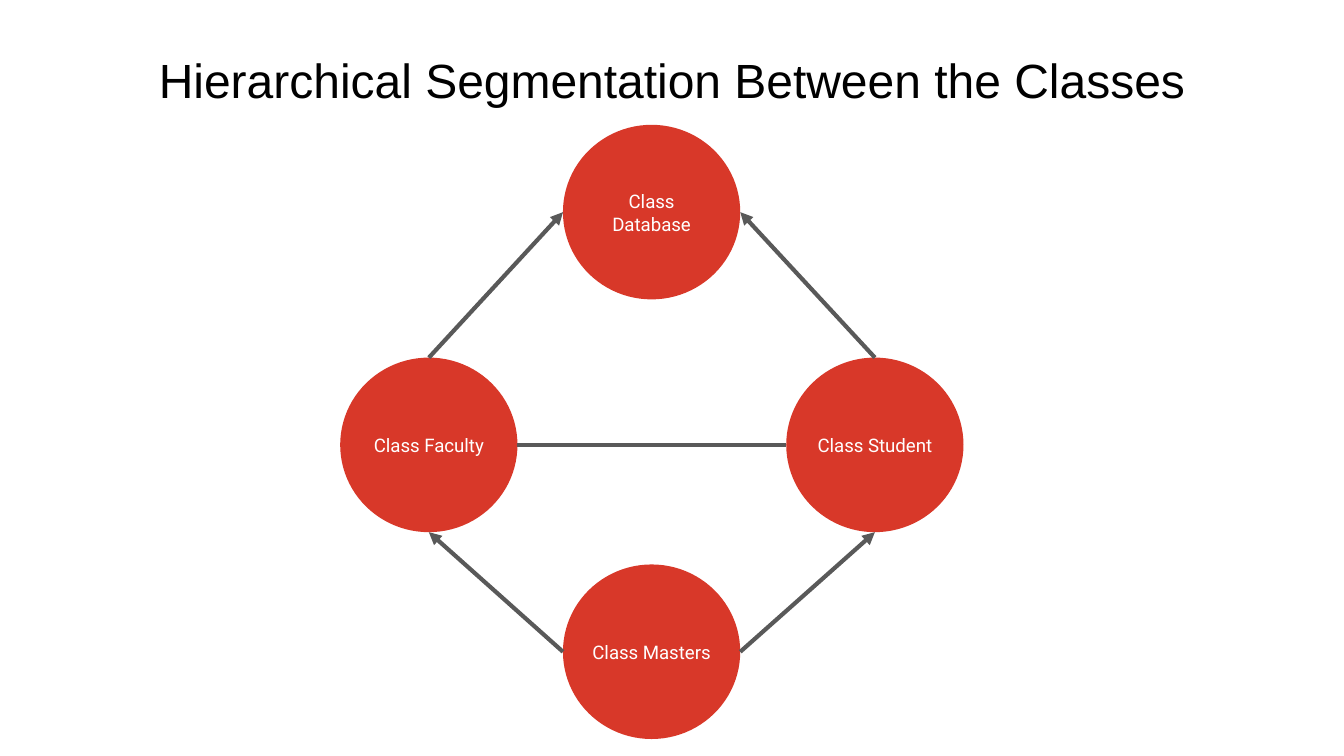
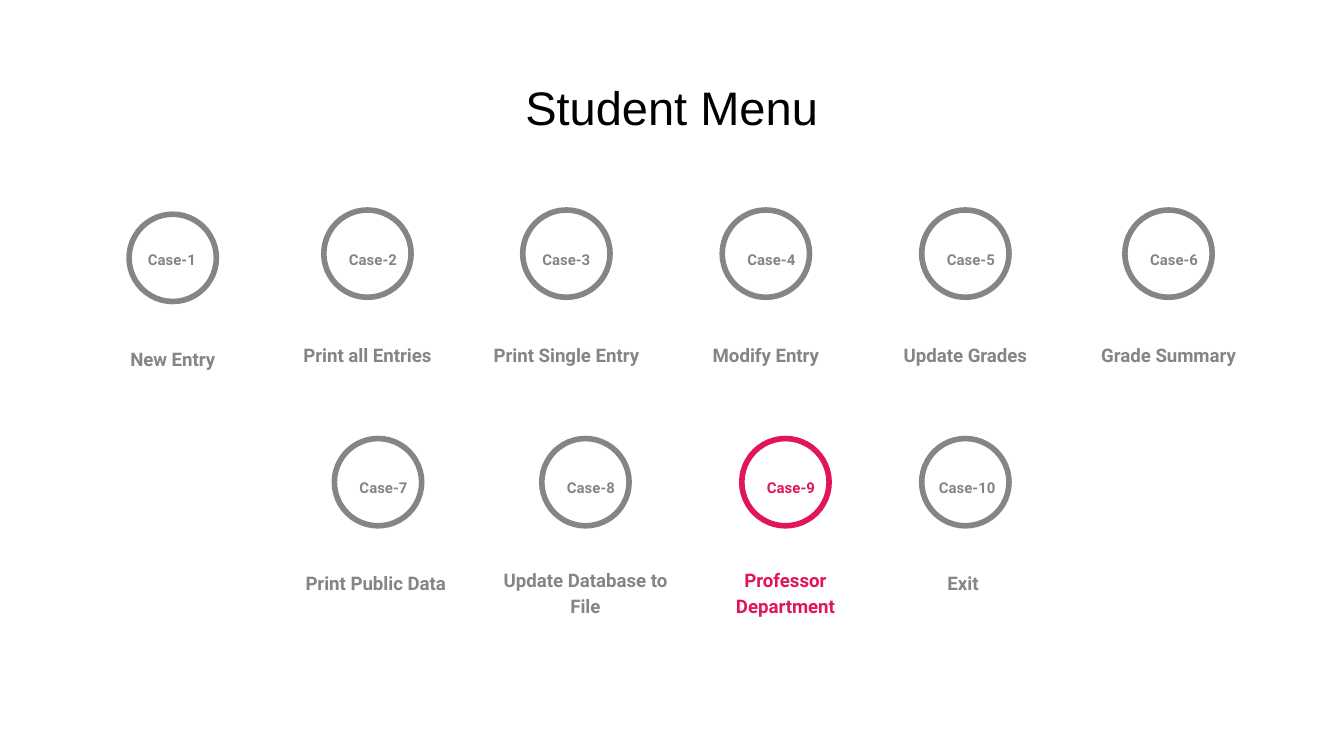
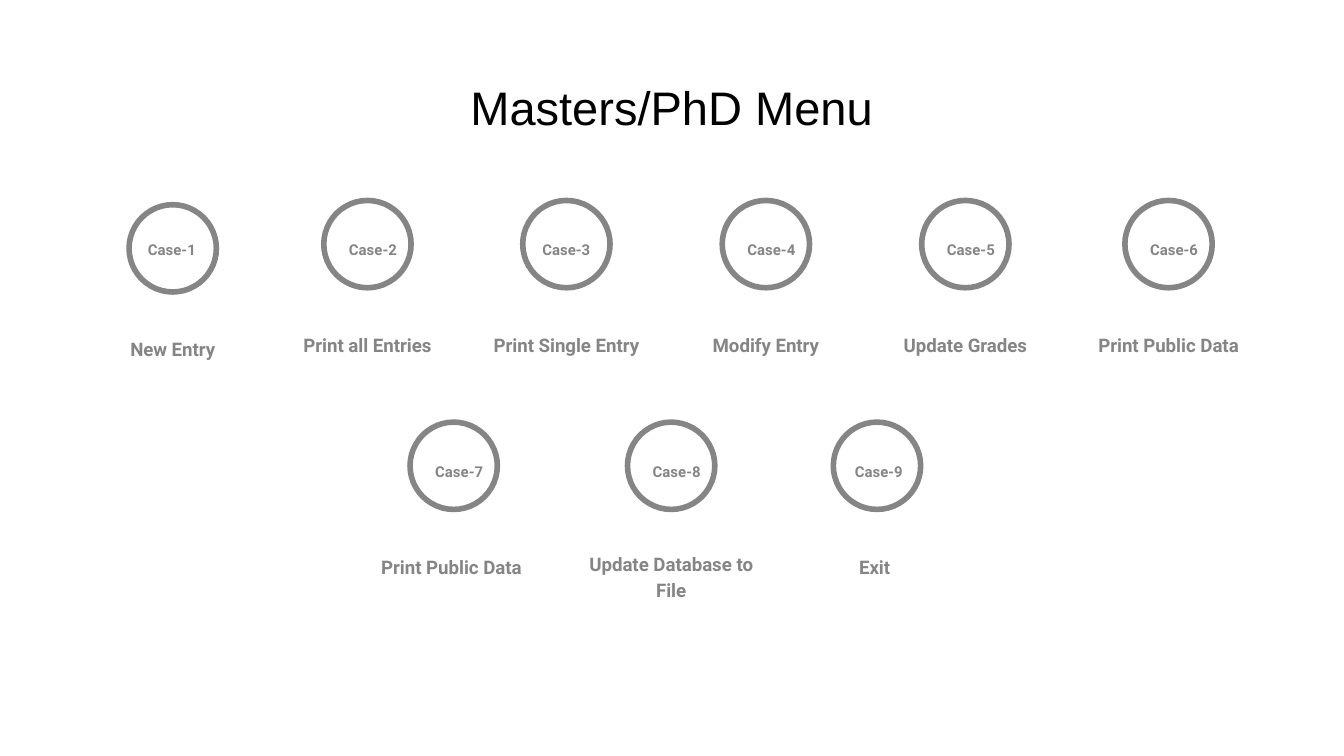
from dataclasses import dataclass

from lxml import etree
from pptx import Presentation
from pptx.dml.color import RGBColor
from pptx.enum import shapes, text
from pptx.oxml import ns
from pptx.util import Cm, Pt

RED = RGBColor(0xD8, 0x38, 0x29)
PINK = RGBColor(0xE1, 0x16, 0x5A)
GREY = RGBColor(0x85, 0x85, 0x85)
DARK_GREY = RGBColor(0x59, 0x59, 0x59)
BLACK = RGBColor(0, 0, 0)
WHITE = RGBColor(0xFF, 0xFF, 0xFF)

TITLE_FONT = "Arial"
BODY_FONT = "Roboto"
TITLE_ONLY = 5
INSET = 0.25

# All lengths below are in centimetres.
CLASS_WIDTH, CLASS_HEIGHT = 3.35, 3.3
RING_SIZE = 1.65
CAPTION_WIDTH, CAPTION_HEIGHT = 3.78, 1.24
ONE_LINE, TWO_LINES = 1.96, 2.39  # caption distance below the ring's top
FIRST_DROP = 0.08


@dataclass(frozen=True)
class Style:
    size: float
    color: RGBColor
    font: str = BODY_FONT
    bold: bool = False
    anchor: text.MSO_ANCHOR = text.MSO_ANCHOR.TOP
    line_spacing: float | None = None
    space_after: float | None = None


@dataclass(frozen=True)
class ClassCircle:
    name: str
    left: float
    top: float

    def side(self, across: float, down: float) -> tuple[float, float]:
        """Point at the given fractions of the circle's width and height."""
        return self.left + across * CLASS_WIDTH, self.top + down * CLASS_HEIGHT


@dataclass(frozen=True)
class NumberBox:
    offset: float
    width: float


NUDGED = NumberBox(0.22, 1.42)
NARROW = NumberBox(0.1, 1.42)
FULL = NumberBox(0, RING_SIZE)
WIDE = NumberBox(0.06, 1.6)


@dataclass(frozen=True)
class MenuCase:
    caption: str
    left: float
    number_box: NumberBox = NUDGED
    caption_gap: float = ONE_LINE
    drop: float = 0
    color: RGBColor = GREY


@dataclass(frozen=True)
class MenuRow:
    top: float
    cases: tuple[MenuCase, ...]


def place(shape, left: float, top: float, width: float, height: float) -> None:
    shape.left, shape.top = Cm(left), Cm(top)
    shape.width, shape.height = Cm(width), Cm(height)


def write(shape, words: str, style: Style) -> None:
    frame = shape.text_frame
    frame.text = words
    frame.word_wrap = True
    frame.auto_size = text.MSO_AUTO_SIZE.NONE
    frame.vertical_anchor = style.anchor
    frame.margin_left = frame.margin_right = Cm(INSET)
    frame.margin_top = frame.margin_bottom = Cm(INSET)
    paragraph = frame.paragraphs[0]
    paragraph.alignment = text.PP_ALIGN.CENTER
    if style.line_spacing:
        paragraph.line_spacing = style.line_spacing
    if style.space_after:
        paragraph.space_after = Pt(style.space_after)
    font = paragraph.runs[0].font
    font.name, font.size, font.bold = style.font, Pt(style.size), style.bold
    font.color.rgb = style.color


def add_titled_slide(presentation, title: str, top: float, size: float):
    slide = presentation.slides.add_slide(presentation.slide_layouts[TITLE_ONLY])
    place(slide.shapes.title, 0.86, top, 23.67, 1.6)
    write(slide.shapes.title, title, Style(size, BLACK, TITLE_FONT))
    return slide


def add_label(group, words: str, left: float, top: float, width: float,
              height: float, style: Style) -> None:
    box = group.shapes.add_textbox(Cm(left), Cm(top), Cm(width), Cm(height))
    write(box, words, style)


def add_ellipse(group, left: float, top: float, width: float, height: float):
    ellipse = group.shapes.add_shape(
        shapes.MSO_SHAPE.OVAL, Cm(left), Cm(top), Cm(width), Cm(height))
    ellipse.shadow.inherit = False
    return ellipse


def add_class_circle(slide, circle: ClassCircle) -> None:
    group = slide.shapes.add_group_shape()
    ellipse = add_ellipse(group, circle.left, circle.top, CLASS_WIDTH, CLASS_HEIGHT)
    ellipse.fill.solid()
    ellipse.fill.fore_color.rgb = RED
    ellipse.line.fill.background()
    add_label(group, circle.name, circle.left + 0.28, circle.top + 0.93, 2.79, 1.45,
              Style(10, WHITE, anchor=text.MSO_ANCHOR.MIDDLE))


def add_link(slide, start: tuple[float, float], end: tuple[float, float],
             arrow: bool = True) -> None:
    connector = slide.shapes.add_connector(
        shapes.MSO_CONNECTOR.STRAIGHT, *(Cm(length) for length in start + end))
    connector.line.color.rgb = DARK_GREY
    connector.line.width = Pt(2.25)
    properties = connector.element.spPr
    if arrow:
        line = properties.find(ns.qn("a:ln"))
        etree.SubElement(line, ns.qn("a:tailEnd"), type="triangle")
    etree.SubElement(properties, ns.qn("a:effectLst"))


def add_class_slide(presentation) -> None:
    slide = add_titled_slide(
        presentation, "Hierarchical Segmentation Between the Classes", 0.71, 25.7)
    student = ClassCircle("Class Student", 14.86, 6.76)
    masters = ClassCircle("Class Masters", 10.64, 10.67)
    faculty = ClassCircle("Class Faculty", 6.43, 6.76)
    database = ClassCircle("Class Database", 10.64, 2.36)
    for circle in (student, masters, faculty, database):
        add_class_circle(slide, circle)

    top, bottom, left, right = (0.5, 0), (0.5, 1), (0, 0.5), (1, 0.5)
    add_link(slide, faculty.side(*right), student.side(*left), arrow=False)
    for circle, side in ((faculty, left), (student, right)):
        add_link(slide, circle.side(*top), database.side(*side))
        add_link(slide, masters.side(*side), circle.side(*bottom))


def add_menu_case(slide, number: int, row_top: float, case: MenuCase) -> None:
    group = slide.shapes.add_group_shape()
    ring_top = row_top + case.drop
    ring = add_ellipse(group, case.left, ring_top, RING_SIZE, RING_SIZE)
    ring.fill.background()
    ring.line.color.rgb = case.color
    ring.line.width = Pt(3)
    add_label(group, case.caption, case.left + (RING_SIZE - CAPTION_WIDTH) / 2,
              ring_top + case.caption_gap, CAPTION_WIDTH, CAPTION_HEIGHT,
              Style(10, case.color, bold=True, anchor=text.MSO_ANCHOR.BOTTOM,
                    line_spacing=1.15))
    add_label(group, f"Case-{number}", case.left + case.number_box.offset,
              row_top + 0.46, case.number_box.width, 0.89,
              Style(8, case.color, bold=True, line_spacing=1.15, space_after=16))


def add_menu_slide(presentation, title: str, rows: tuple[MenuRow, ...]) -> None:
    slide = add_titled_slide(presentation, title, 1.24, 25.2)
    placed = [(row.top, case) for row in rows for case in row.cases]
    for number, (row_top, case) in enumerate(placed, start=1):
        add_menu_case(slide, number, row_top, case)


def first_row(top: float, last_caption: str) -> MenuRow:
    """The six cases of the upper row; only the last differs between menus."""
    return MenuRow(top, (
        MenuCase("New Entry", 2.44, NARROW, drop=FIRST_DROP),
        MenuCase("Print all Entries", 6.12),
        MenuCase("Print Single Entry", 9.88, FULL),
        MenuCase("Modify Entry", 13.65),
        MenuCase("Update Grades", 17.42),
        MenuCase(last_caption, 21.26),
    ))


def main() -> None:
    presentation = Presentation()
    presentation.slide_width, presentation.slide_height = Cm(25.4), Cm(14.29)
    add_class_slide(presentation)
    add_menu_slide(presentation, "Student Menu", (
        first_row(3.97, "Grade Summary"),
        MenuRow(8.29, (
            MenuCase("Print Public Data ", 6.32),
            MenuCase("Update Database to File", 10.24, caption_gap=TWO_LINES),
            MenuCase("Professor Department", 14.02, caption_gap=TWO_LINES, color=PINK),
            MenuCase("Exit ", 17.42, WIDE),
        )),
    ))
    add_menu_slide(presentation, "Masters/PhD Menu", (
        first_row(3.79, "Print Public Data"),
        MenuRow(7.98, (
            MenuCase("Print Public Data ", 7.75),
            MenuCase("Update Database to File", 11.86, caption_gap=TWO_LINES),
            MenuCase("Exit ", 15.75, WIDE),
        )),
    ))
    presentation.save("out.pptx")


if __name__ == "__main__":
    main()
